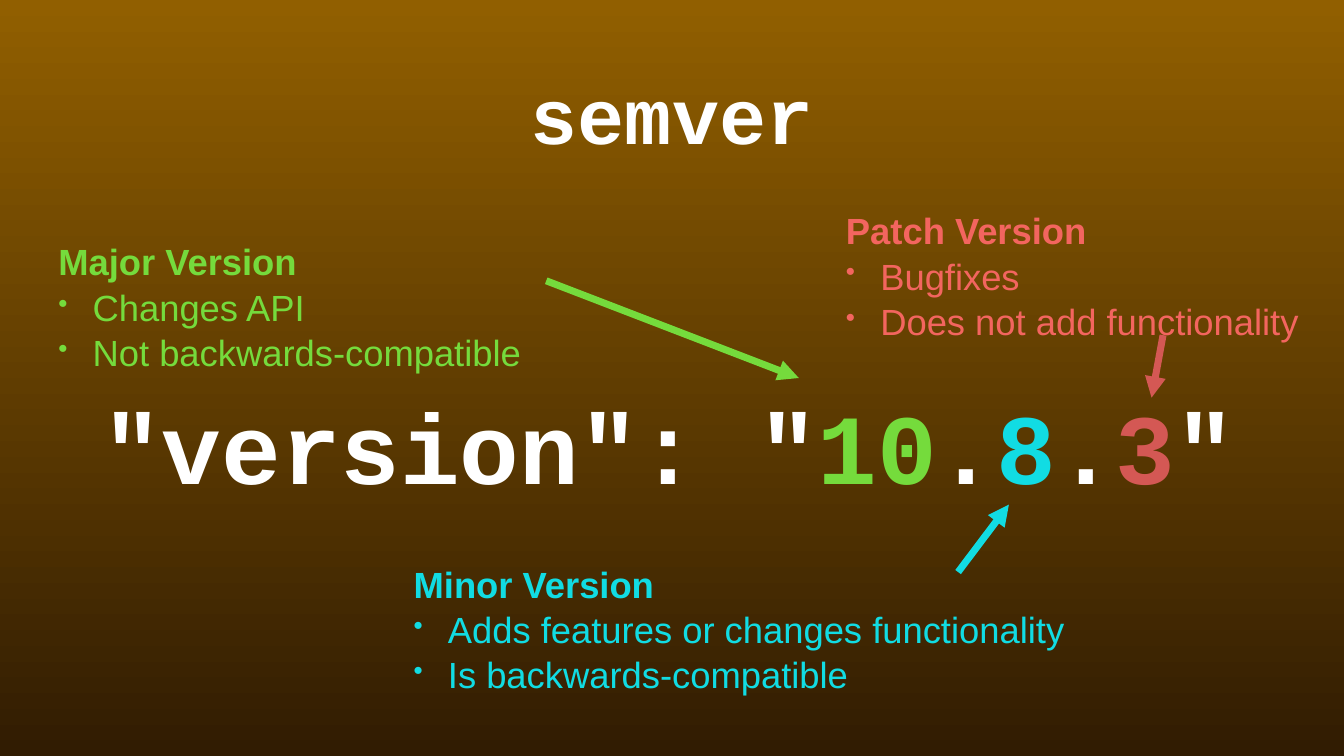
from lxml import etree
from pptx import Presentation
from pptx import util as u
from pptx.dml.color import RGBColor
from pptx.enum import shapes, text
from pptx.oxml.ns import qn

WHITE = RGBColor(0xFF, 0xFF, 0xFF)
GREEN = RGBColor(0x75, 0xDB, 0x3C)
CYAN = RGBColor(0x11, 0xDC, 0xE3)
RED = RGBColor(0xD4, 0x58, 0x54)
LIGHT_RED = RGBColor(0xF3, 0x65, 0x5F)
AMBER = RGBColor(0x91, 0x5F, 0x00)
DARK_BROWN = RGBColor(0x31, 0x1C, 0x02)


class SemverSlide:
    code = {"name": "Courier New", "bold": True}
    heading = {"name": "Arial", "size": u.Pt(52), "bold": True}
    item = {**heading, "bold": False}
    frame = {"margin_left": u.Cm(0.2), "margin_right": u.Cm(0.2),
             "margin_top": u.Cm(0.2), "margin_bottom": u.Cm(0.2),
             "vertical_anchor": text.MSO_ANCHOR.MIDDLE,
             "auto_size": text.MSO_AUTO_SIZE.NONE, "word_wrap": True}
    note_frame = {**frame, "auto_size": text.MSO_AUTO_SIZE.SHAPE_TO_FIT_TEXT,
                  "word_wrap": False}
    indent = u.Cm(1.73)

    def __init__(self, presentation):
        self.slide = presentation.slides.add_slide(presentation.slide_layouts[5])

    @staticmethod
    def apply(target, values):
        for name, value in values.items():
            setattr(target, name, value)

    def run(self, paragraph, words, color, font):
        run = paragraph.add_run()
        run.text = words
        self.apply(run.font, font)
        run.font.color.rgb = color

    def text_box(self, box, frame):
        shape = self.slide.shapes.add_textbox(*map(u.Cm, box))
        self.apply(shape.text_frame, frame)
        return shape.text_frame

    def background(self, top, bottom):
        fill = self.slide.background.fill
        fill.gradient()
        fill.gradient_angle = 270
        for stop, color, position in zip(fill.gradient_stops, (top, bottom), (0, 1)):
            stop.color.rgb = color
            stop.position = position

    def title(self, words, box):
        shape = self.slide.shapes.title
        self.apply(shape, dict(zip(("left", "top", "width", "height"), map(u.Cm, box))))
        self.apply(shape.text_frame, self.frame)
        paragraph = shape.text_frame.paragraphs[0]
        paragraph.alignment = text.PP_ALIGN.CENTER
        self.run(paragraph, words, WHITE, {**self.code, "size": u.Pt(112)})

    def code_line(self, parts, box):
        paragraph = self.text_box(box, self.frame).paragraphs[0]
        paragraph.space_before = u.Pt(59)
        for words, color in parts:
            self.run(paragraph, words, color, {**self.code, "size": u.Pt(142)})

    def bullet(self, paragraph):
        properties = paragraph._p.get_or_add_pPr()
        properties.set("marL", str(self.indent))
        properties.set("indent", str(-self.indent))
        etree.SubElement(properties, qn("a:buSzPct")).set("val", "75000")
        etree.SubElement(properties, qn("a:buChar")).set("char", "•")

    def note(self, heading, items, color, box):
        text_frame = self.text_box(box, self.note_frame)
        for index, words in enumerate([heading, *items]):
            paragraph = text_frame.add_paragraph() if index else text_frame.paragraphs[0]
            paragraph.line_spacing = 1.04
            if index:
                self.bullet(paragraph)
            self.run(paragraph, words, color, self.item if index else self.heading)

    def arrow(self, start, end, color):
        connector = self.slide.shapes.add_connector(
            shapes.MSO_CONNECTOR.STRAIGHT, *map(u.Cm, start + end))
        connector.line.width = u.Pt(10)
        connector.line.color.rgb = color
        line = connector.line._get_or_add_ln()
        etree.SubElement(line, qn("a:tailEnd")).set("type", "triangle")
        etree.SubElement(connector._element.spPr, qn("a:effectLst"))


def main():
    presentation = Presentation()
    presentation.slide_width = u.Cm(67.74)
    presentation.slide_height = u.Cm(38.1)
    semver = SemverSlide(presentation)

    # Background and title
    semver.background(AMBER, DARK_BROWN)
    semver.title("semver", (12.19, 1.57, 43.36, 8.28))

    # Version string, one colour per number
    semver.code_line([('"version": "', WHITE), ("10", GREEN), (".", WHITE),
                      ("8", CYAN), (".", WHITE), ("3", RED), ('"', WHITE)],
                     (4.95, 10.11, 57.81, 24.56))

    # Explanations
    semver.note("Major Version", ["Changes API", "Not backwards-compatible"],
                GREEN, (2.74, 10.85, 24.87, 9.14))
    semver.note("Minor Version",
                ["Adds features or changes functionality", "Is backwards-compatible"],
                CYAN, (20.65, 27.08, 34.26, 9.14))
    semver.note("Patch Version", ["Bugfixes", "Does not add functionality"],
                LIGHT_RED, (42.44, 9.27, 24.08, 9.14))

    # Arrows from the explanations to the numbers
    semver.arrow((27.53, 14.15), (40.26, 19.05), GREEN)
    semver.arrow((48.29, 28.83), (50.85, 25.43), CYAN)
    semver.arrow((58.62, 16.89), (58.04, 20.04), RED)

    presentation.save("out.pptx")


if __name__ == "__main__":
    main()
